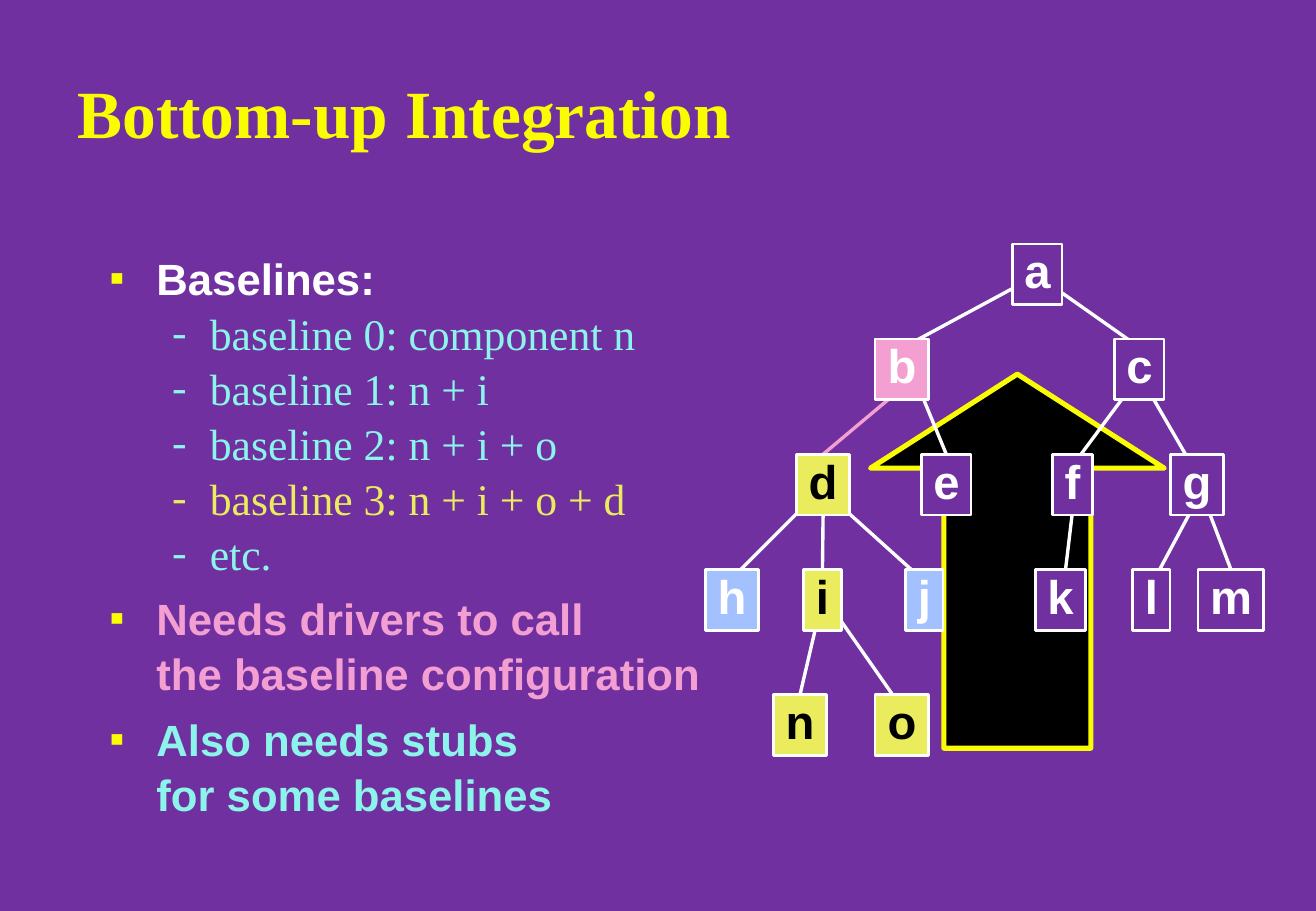
from lxml import etree
from pptx import Presentation, util as u
from pptx.dml.color import RGBColor
from pptx.enum import shapes, text
from pptx.oxml.ns import qn

PURPLE, WHITE, BLACK = "7030A0", "FFFFFF", "000000"
YELLOW, CYAN, PINK = "FAFD00", "8CF4EA", "F39FD1"
INTEGRATED, PENDING = "EAEC5E", "A2C1FE"
TOP, BOTTOM = 0, 2
NODE_HEIGHT = 0.5

# Row top -> name, left, width, fill, letter colour
TREE_ROWS = {
    2.01: [("a", 8.34, 0.41, PURPLE, WHITE)],
    2.79: [("b", 7.21, 0.44, PINK, WHITE),
           ("c", 9.18, 0.41, PURPLE, WHITE)],
    3.74: [("d", 6.56, 0.44, INTEGRATED, BLACK),
           ("e", 7.59, 0.41, PURPLE, WHITE),
           ("f", 8.67, 0.33, PURPLE, WHITE),
           ("g", 9.64, 0.44, PURPLE, WHITE)],
    4.69: [("h", 5.81, 0.44, PENDING, WHITE),
           ("i", 6.62, 0.31, INTEGRATED, BLACK),
           ("j", 7.46, 0.31, PENDING, WHITE),
           ("k", 8.53, 0.41, PURPLE, WHITE),
           ("l", 9.33, 0.31, PURPLE, WHITE),
           ("m", 9.87, 0.54, PURPLE, WHITE)],
    5.72: [("n", 6.37, 0.44, INTEGRATED, BLACK),
           ("o", 7.21, 0.44, INTEGRATED, BLACK)],
}

# Parent and child -> start, end
LINKS = {
    "ab": (8.48, 2.3, 7.46, 2.85), "ac": (8.59, 2.3, 9.4, 2.87),
    "bd": (7.4, 3.22, 6.71, 3.8), "be": (7.58, 3.22, 7.83, 3.8),
    "cf": (9.41, 3.06, 8.86, 3.8), "cg": (9.4, 3.11, 9.8, 3.8),
    "dh": (6.76, 4.03, 5.99, 4.8), "di": (6.79, 4.17, 6.79, 4.75),
    "dj": (6.93, 4.17, 7.63, 4.8), "fk": (8.85, 4.08, 8.77, 4.75),
    "gl": (9.83, 4.17, 9.52, 4.75), "gm": (9.9, 4.06, 10.17, 4.83),
    "in": (6.77, 4.95, 6.56, 5.8), "io": (6.8, 4.93, 7.43, 5.83),
}
BOTTOM_CENTRED = ["di"]
TOP_CENTRED = ["bd", "be", "di", "gm", "in"]

HEADING = dict(font="Arial", bold=True, margin=0.38, hanging=0.38,
               before=6.2, bullet="■", bullet_color=YELLOW, bullet_size=50)
DETAIL = dict(font="Times New Roman", bold=False, margin=0.82, hanging=0.31,
              before=0, bullet="-", bullet_color=None, bullet_size=100)
POINTS = [
    ("Baselines:", HEADING, WHITE),
    ("baseline 0: component n", DETAIL, CYAN),
    ("baseline 1: n + i", DETAIL, CYAN),
    ("baseline 2: n + i + o", DETAIL, CYAN),
    ("baseline 3: n + i + o + d", DETAIL, INTEGRATED),
    ("etc.", DETAIL, CYAN),
    ("Needs drivers to call \vthe baseline configuration", HEADING, PINK),
    ("Also needs stubs \vfor some baselines", HEADING, CYAN),
]


def rgb(color):
    return RGBColor.from_string(color)


def apply(target, values):
    for name, value in values.items():
        setattr(target, name, value)


def write(paragraph, words, font, size, color, bold):
    paragraph.text = words
    for run in paragraph.runs:
        apply(run.font, dict(name=font, size=u.Pt(size), bold=bold))
        run.font.color.rgb = rgb(color)


def add_outlined(slide, kind, box, fill, line, weight):
    shape = slide.shapes.add_shape(kind, *map(u.Inches, box))
    shape.shadow.inherit = False
    shape.fill.solid()
    shape.fill.fore_color.rgb = rgb(fill)
    shape.line.color.rgb = rgb(line)
    shape.line.width = u.Pt(weight)
    return shape


def add_node(slide, name, box, fill, color):
    node = add_outlined(slide, shapes.MSO_SHAPE.RECTANGLE, box, fill, WHITE, 1.5)
    apply(node.text_frame, dict(
        word_wrap=False, vertical_anchor=text.MSO_ANCHOR.MIDDLE,
        auto_size=text.MSO_AUTO_SIZE.SHAPE_TO_FIT_TEXT))
    letter = node.text_frame.paragraphs[0]
    apply(letter, dict(alignment=text.PP_ALIGN.CENTER, line_spacing=0.85))
    write(letter, name, "Arial", 28, color, True)
    return node


def add_link(slide, ends, color):
    link = slide.shapes.add_connector(
        shapes.MSO_CONNECTOR.STRAIGHT, *map(u.Inches, ends))
    link.line.color.rgb = rgb(color)
    link.line.width = u.Pt(2)
    etree.SubElement(link._element.spPr, qn("a:effectLst"))
    return link


def add_tree(slide):
    """Links lie behind the nodes and are joined once the nodes exist."""
    links = {pair: add_link(slide, ends, PINK if pair == "bd" else WHITE)
             for pair, ends in LINKS.items()}
    nodes = {}
    for top, row in TREE_ROWS.items():
        for name, left, width, fill, color in row:
            box = (left, top, width, NODE_HEIGHT)
            nodes[name] = add_node(slide, name, box, fill, color)
    for pair in BOTTOM_CENTRED:
        links[pair].begin_connect(nodes[pair[0]], BOTTOM)
    for pair in TOP_CENTRED:
        links[pair].end_connect(nodes[pair[1]], TOP)


def add_text_frame(slide, box, anchor):
    frame = slide.shapes.add_textbox(*map(u.Inches, box)).text_frame
    apply(frame, dict(word_wrap=True, vertical_anchor=anchor))
    return frame


def set_bullet(paragraph, style, color):
    props = paragraph._p.get_or_add_pPr()
    props.set("marL", str(u.Inches(style["margin"])))
    props.set("indent", str(-u.Inches(style["hanging"])))
    bullet_color = etree.SubElement(props, qn("a:buClr"))
    etree.SubElement(bullet_color, qn("a:srgbClr"),
                     val=style["bullet_color"] or color)
    etree.SubElement(props, qn("a:buSzPct"), val=str(style["bullet_size"] * 1000))
    etree.SubElement(props, qn("a:buFont"), typeface=style["font"])
    etree.SubElement(props, qn("a:buChar"), char=style["bullet"])


def add_points(slide):
    frame = add_text_frame(slide, (0.81, 2, 9.21, 4.67), text.MSO_ANCHOR.TOP)
    for index, (words, style, color) in enumerate(POINTS):
        point = frame.add_paragraph() if index else frame.paragraphs[0]
        write(point, words, style["font"], 25.9, color, style["bold"])
        apply(point, dict(line_spacing=1.05,
                          space_before=u.Pt(style["before"] if index else 0)))
        set_bullet(point, style, color)


def add_title(slide):
    frame = add_text_frame(slide, (0.54, 0.58, 9.21, 0.67), text.MSO_ANCHOR.MIDDLE)
    write(frame.paragraphs[0], "Bottom-up Integration",
          "Times New Roman", 40, YELLOW, True)


def main():
    deck = Presentation()
    apply(deck, dict(slide_width=u.Inches(10.84), slide_height=u.Inches(7.5)))
    slide = deck.slides.add_slide(deck.slide_layouts[6])
    slide.background.fill.solid()
    slide.background.fill.fore_color.rgb = rgb(PURPLE)

    upward = add_outlined(slide, shapes.MSO_SHAPE.UP_ARROW,
                          (7.17, 3.08, 2.42, 3.08), BLACK, YELLOW, 3)
    upward.adjustments[0] = 0.5
    upward.adjustments[1] = 0.32
    add_title(slide)
    add_points(slide)
    add_tree(slide)
    deck.save("out.pptx")


if __name__ == "__main__":
    main()
